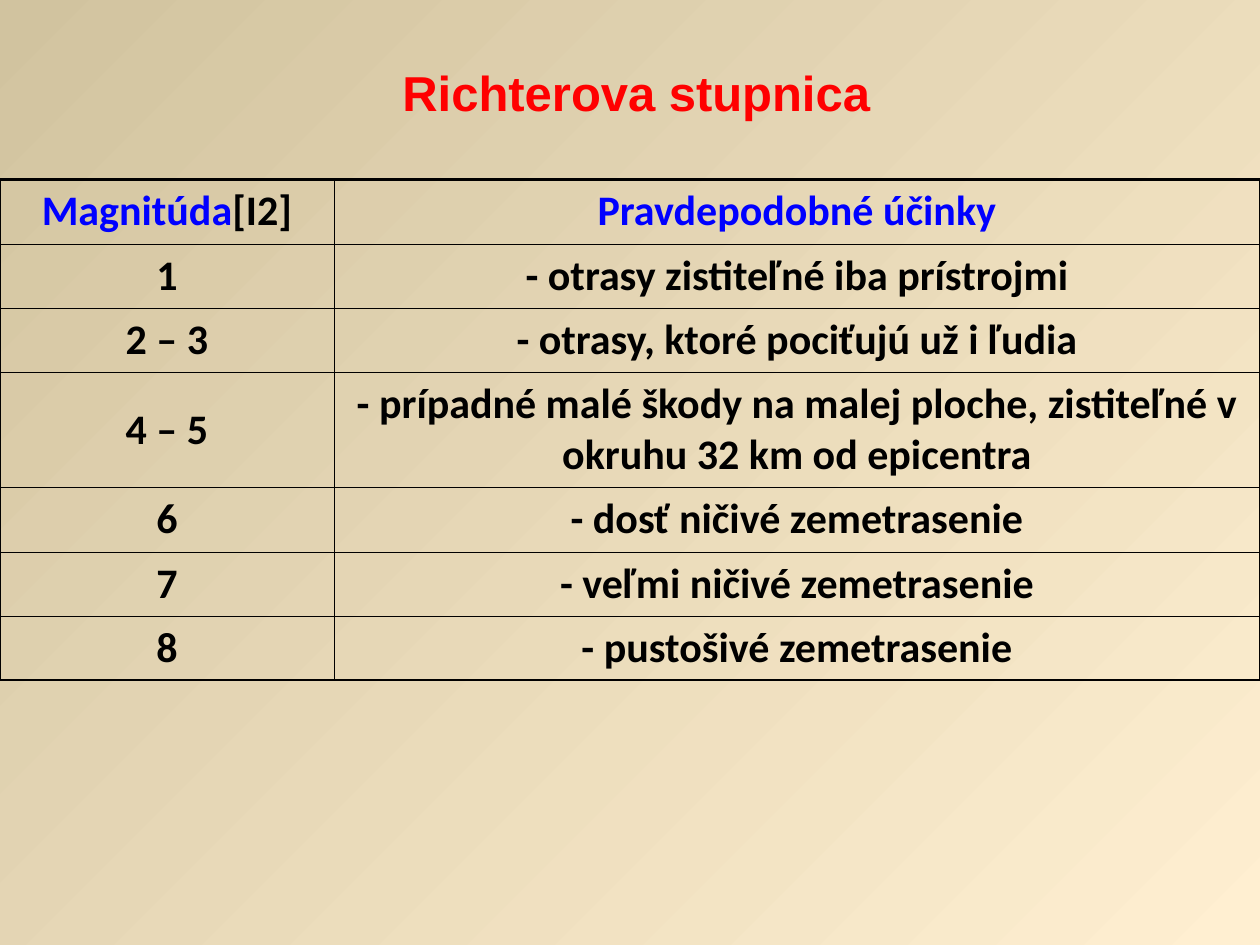
from pptx import Presentation
from pptx.dml.color import RGBColor as Rgb
from pptx.enum.text import MSO_ANCHOR as Anchor, PP_ALIGN as Align
from pptx.oxml.ns import qn
from pptx.util import Inches, Pt
from lxml.etree import SubElement as Sub

HUES = {"pale": "FFEFD1", "sand": "D1C39F", "head": "0000FF",
        "title": "FF0000", "text": "000000", "line": "010000"}
THIN, THICK = 0.06, 1.47

ROWS = [
    ("1", "- otrasy zistiteľné iba prístrojmi"),
    ("2 – 3", "- otrasy, ktoré pociťujú už i ľudia"),
    ("4 – 5", "- prípadné malé škody na malej ploche, zistiteľné v okruhu 32 km od epicentra"),
    ("6", "- dosť ničivé zemetrasenie"),
    ("7", "- veľmi ničivé zemetrasenie"),
    ("8", "- pustošivé zemetrasenie"),
]


class Deck:
    def __init__(self, wide, high):
        self.prs = Presentation()
        self.prs.slide_width, self.prs.slide_height = Inches(wide), Inches(high)
        self.wide, self.high = wide, high
        self.slide = self.prs.slides.add_slide(self.prs.slide_layouts[6])

    def box(self, left, top, wide, high):
        """Turn shares of the slide into lengths."""
        return [Inches(left * self.wide), Inches(top * self.high),
                Inches(wide * self.wide), Inches(high * self.high)]

    def back(self, start, end, angle):
        fill = self.slide.background.fill
        fill.gradient()
        fill.gradient_angle = angle
        for stop, hue in zip(fill.gradient_stops, (start, end)):
            stop.color.rgb = Rgb.from_string(HUES[hue])

    def label(self, frame, runs, font, size):
        frame.word_wrap = True
        para = frame.paragraphs[0]
        para.alignment = Align.CENTER
        for text, hue in runs:
            run = para.add_run()
            run.text = text
            run.font.name, run.font.size, run.font.bold = font, Pt(size), True
            run.font.color.rgb = Rgb.from_string(HUES[hue])

    def title(self, place, text):
        shape = self.slide.shapes.add_textbox(*self.box(*place))
        self.label(shape.text_frame, [(text, "title")], "Arial", 28)

    def edge(self, cell, side, width):
        line = Sub(cell._tc.get_or_add_tcPr(), qn(f"a:ln{side}"), w=str(Pt(width)))
        fill = Sub(line, qn("a:solidFill"))
        Sub(fill, qn("a:srgbClr"), val=HUES["line"])

    def table(self, place, cols, highs, data):
        last, end = len(data) - 1, len(cols) - 1
        grid = self.slide.shapes.add_table(
            len(data), len(cols), *self.box(*place)).table
        grid.first_row = grid.horz_banding = False
        for col, wide in zip(grid.columns, cols):
            col.width = Inches(wide * self.wide)
        for row, high in zip(grid.rows, highs):
            row.height = Inches(high)
        for r, line in enumerate(data):
            for c, runs in enumerate(line):
                cell = grid.cell(r, c)
                cell.vertical_anchor = Anchor.MIDDLE
                # Thick frame outside, hairlines inside
                outer = {"L": c == 0, "R": c == end, "T": r == 0, "B": r == last}
                for side, thick in outer.items():
                    self.edge(cell, side, THICK if thick else THIN)
                cell.fill.background()
                self.label(cell.text_frame, runs, "Calibri", 24)


def main():
    deck = Deck(10, 7.5)
    deck.back("pale", "sand", 135)

    # Scale table: header, then magnitudes and effects
    head = [[("Magnitúda", "head"), ("[I2]", "text")],
            [("Pravdepodobné účinky", "head")]]
    body = [[[(text, "text")] for text in row] for row in ROWS]
    highs = [0.51] * 7
    highs[3] = 0.91
    deck.table((0, 0.19, 1, 0.53), (0.265, 0.735), highs, [head] + body)

    # Title
    deck.title((0.21, 0.06, 0.59, 0.08), "Richterova stupnica")
    deck.prs.save("out.pptx")


if __name__ == "__main__":
    main()
